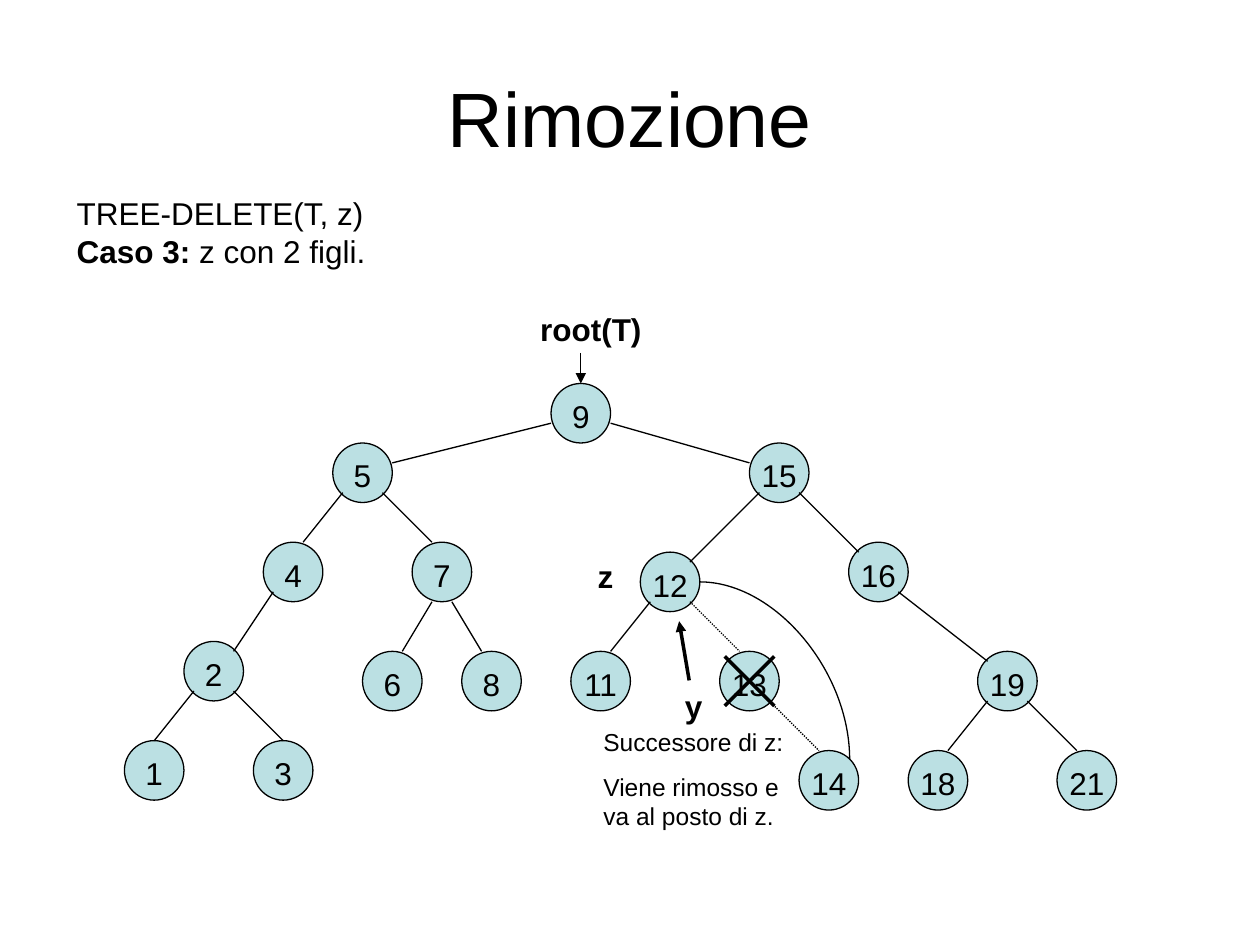
from lxml.etree import SubElement
from pptx import Presentation
from pptx.dml.color import RGBColor
from pptx.enum.dml import MSO_LINE
from pptx.enum.shapes import MSO_CONNECTOR as Connector, MSO_SHAPE as Shape
from pptx.enum.text import MSO_ANCHOR as Anchor, PP_ALIGN as Align
from pptx.oxml.ns import qn
from pptx.util import Inches, Pt

# Content
TITLE = "Rimozione"
# key: (column, row) of the centre, in grid steps from the root
NODES = {
    9: (0, 0), 5: (-22, 6), 15: (20, 6), 4: (-29, 16), 7: (-14, 16),
    12: (9, 17), 16: (30, 16), 2: (-37, 26), 6: (-19, 27), 8: (-9, 27),
    11: (2, 27), 13: (17, 27), 19: (43, 27), 1: (-43, 36), 3: (-30, 36),
    14: (25, 37), 18: (36, 37), 21: (51, 37),
}
CHILDREN = {9: (5, 15), 5: (4, 7), 15: (12, 16), 4: (2,), 7: (6, 8), 2: (1, 3),
            12: (11, 13), 16: (19,), 19: (18, 21), 13: (14,)}
DOTTED = {(12, 13), (13, 14)}
# Edge ends (across, down) from the node centres; across follows the child's side
LEAVE = {9: (3, 1), 7: (1, 3)}
ENTER = {5: (3, -1), 15: (3, -1), 2: (2, -2), 12: (2, -2), 16: (2, -2),
         19: (2, -2), 1: (0, -3), 3: (0, -3)}
# Labels: box in inches, size, alignment, space before, line spacing, paragraphs of (text, bold)
LABELS = [
    ((0.51, 1.55, 6.22, 0.65), 18, Align.LEFT, 4.5, 0.8,
     [[("TREE-DELETE(T, z)", False)],
      [("Caso 3:", True), (" z con 2 figli.", False)]]),
    ((4.06, 2.41, 1.26, 0.4), 18, Align.CENTER, 11.2, 1.0, [[("root(T)", True)]]),
    ((4.61, 4.37, 0.39, 0.4), 18, Align.CENTER, 11.2, 1.0, [[("z", True)]]),
    ((5.31, 5.4, 0.39, 0.4), 18, Align.CENTER, 11.2, 1.0, [[("y", True)]]),
    ((4.69, 5.72, 1.65, 0.92), 14, Align.LEFT, 8.8, 1.0,
     [[("Successore di z:", False)],
      [("Viene rimosso e va al posto di z.", False)]]),
]

COLORS = {"ink": "000000", "node": "BBE0E3"}
FONT = "Arial"
ROOT_X, ROOT_Y = 4.61, 3.28
STEP = 0.2 / 2.54
DIAMETER = 6 * STEP

presentation = Presentation()
presentation.slide_width, presentation.slide_height = Inches(10), Inches(7.5)
slide = presentation.slides.add_slide(presentation.slide_layouts[5])


def color(name):
    return RGBColor.from_string(COLORS[name])


def add_run(paragraph, text, size, bold=False):
    run = paragraph.add_run()
    run.text = text
    font = run.font
    font.name, font.size, font.bold = FONT, Pt(size), bold
    font.color.rgb = color("ink")


def place(key, offset=(0, 0)):
    """Point in inches, offset in grid steps from a node's centre."""
    column, row = NODES[key]
    return (ROOT_X + (column + offset[0]) * STEP, ROOT_Y + (row + offset[1]) * STEP)


def add_line(start, end, width=0.75, kind=Connector.STRAIGHT, dotted=False, arrow=False):
    connector = slide.shapes.add_connector(kind, *map(Inches, (*start, *end)))
    line = connector.line
    line.color.rgb, line.width = color("ink"), Pt(width)
    if dotted:
        line.dash_style = MSO_LINE.ROUND_DOT
    if arrow:
        SubElement(line._get_or_add_ln(), qn("a:tailEnd"), type="triangle")
    SubElement(connector._element.spPr, qn("a:effectLst"))
    return connector


def add_node(key):
    x, y = place(key, (-3, -3))
    node = slide.shapes.add_shape(Shape.OVAL, *map(Inches, (x, y, DIAMETER, DIAMETER)))
    node.shadow.inherit = False
    node.fill.solid()
    node.fill.fore_color.rgb = color("node")
    node.line.color.rgb, node.line.width = color("ink"), Pt(0.75)
    frame = node.text_frame
    frame.word_wrap = False
    frame.vertical_anchor = Anchor.MIDDLE
    frame.margin_left = frame.margin_right = frame.margin_bottom = 0
    frame.margin_top = Inches(0.04)
    frame.paragraphs[0].alignment = Align.CENTER
    add_run(frame.paragraphs[0], str(key), 18)
    return node


def add_edge(parent, child):
    side = 1 if NODES[child][0] > NODES[parent][0] else -1
    leave_x, leave_y = LEAVE.get(parent, (2, 2))
    enter_x, enter_y = ENTER.get(child, (1, -3))
    add_line(place(parent, (side * leave_x, leave_y)),
             place(child, (-side * enter_x, enter_y)),
             dotted=(parent, child) in DOTTED)


def add_label(box, size, alignment, before, spacing, paragraphs):
    frame = slide.shapes.add_textbox(*map(Inches, box)).text_frame
    frame.word_wrap = True
    for index, runs in enumerate(paragraphs):
        paragraph = frame.add_paragraph() if index else frame.paragraphs[0]
        paragraph.alignment = alignment
        paragraph.space_before, paragraph.line_spacing = Pt(before), spacing
        for text, bold in runs:
            add_run(paragraph, text, size, bold)


# Title
title = slide.shapes.title
title.left, title.top, title.width, title.height = map(Inches, (0.5, 0.3, 9, 1.25))
title.text_frame.vertical_anchor = Anchor.MIDDLE
title.text_frame.paragraphs[0].alignment = Align.CENTER
add_run(title.text_frame.paragraphs[0], TITLE, 44)

# Tree
nodes = {key: add_node(key) for key in NODES}
for parent, children in CHILDREN.items():
    for child in children:
        add_edge(parent, child)

# Labels
for label in LABELS:
    add_label(*label)

# Arrows to the root and to z
add_line((ROOT_X, 2.8), place(9, (0, -3)), arrow=True).end_connect(nodes[9], 0)
add_line((5.47, 5.4), (5.39, 4.93), width=2, arrow=True)

# Cross over the removed node
for rise in (-2.5, 2.5):
    add_line(place(13, (-2.5, rise)), place(13, (2.5, -rise)), width=2)

# New link from z to the child of its successor
curve = add_line(place(12, (3, 0)), place(14, (2.1, -2.1)), kind=Connector.CURVE)
curve._element.spPr.find(qn("a:prstGeom")).set("prst", "curvedConnector2")

presentation.save("out.pptx")
